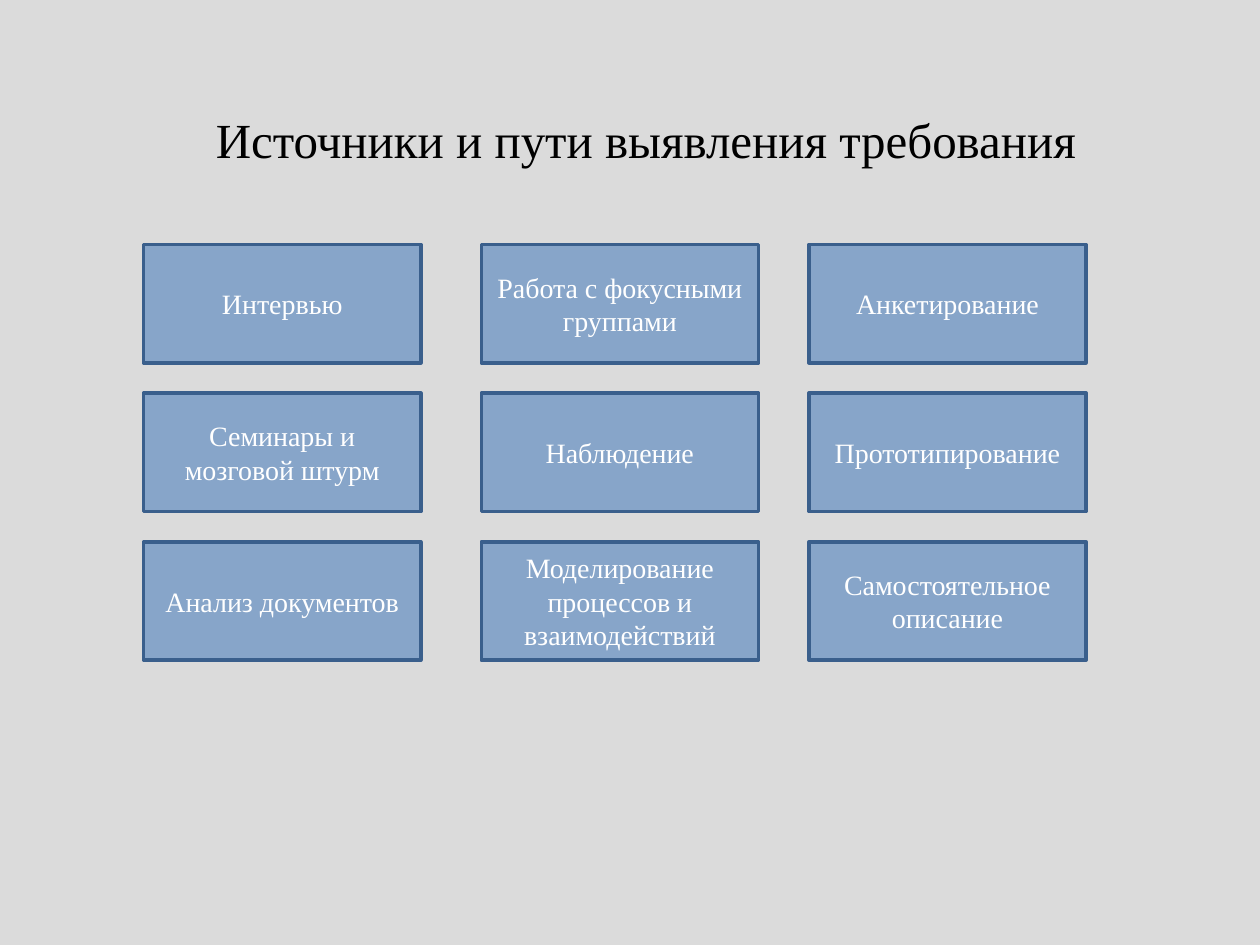
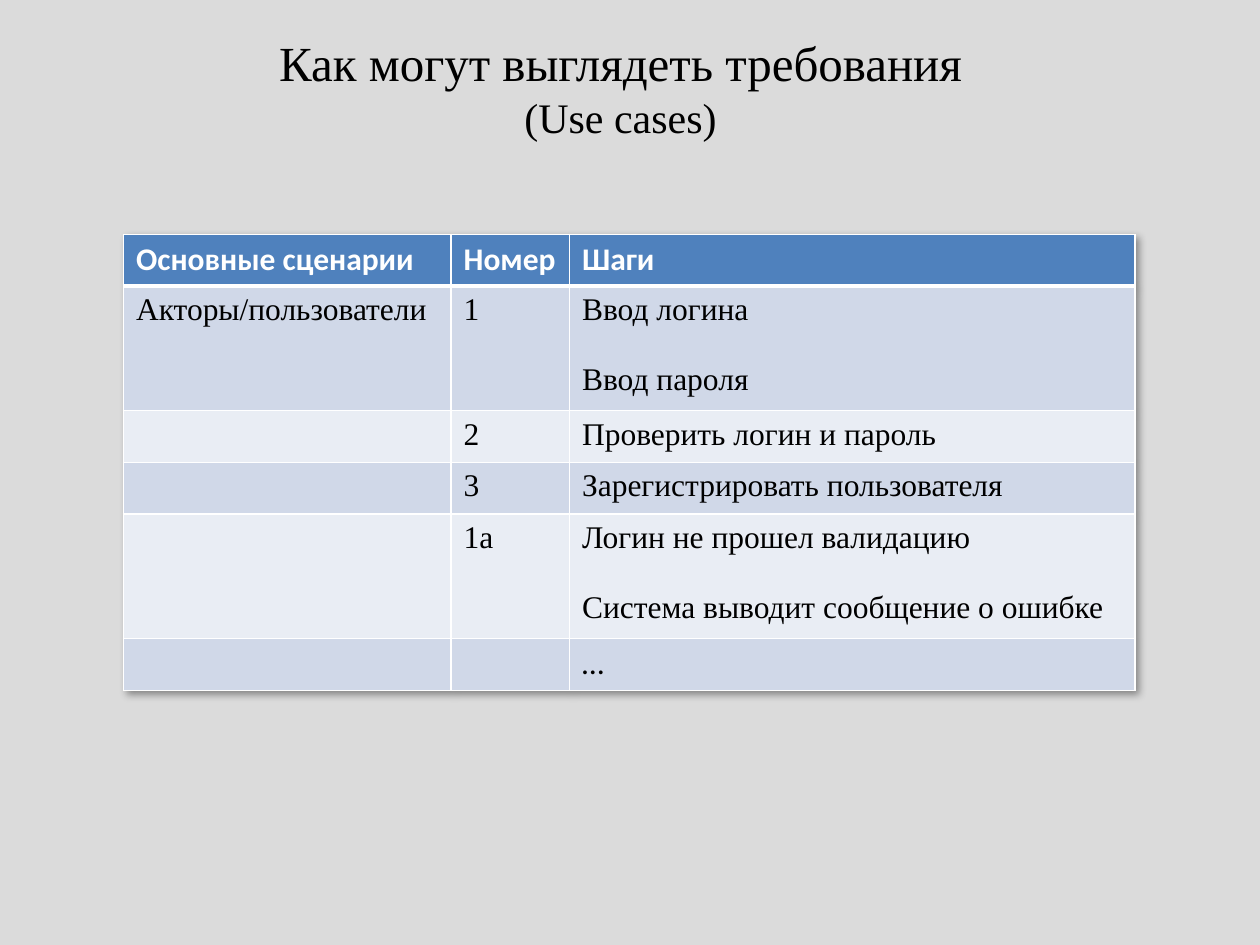
import lxml.etree
import pptx
import pptx.dml.color
import pptx.enum.shapes
import pptx.enum.text
import pptx.oxml
import pptx.oxml.ns
import pptx.util

SOURCES_TITLE = [("Источники и пути выявления требования", 28)]
SOURCES = [
    ["Интервью", "Работа с фокусными группами", "Анкетирование"],
    ["Семинары и мозговой штурм", "Наблюдение", "Прототипирование"],
    ["Анализ документов", "Моделирование процессов и взаимодействий",
     "Самостоятельное описание"],
]
USE_CASE_TITLE = [("Как могут выглядеть требования", 28), ("(Use cases)", 24)]
USE_CASES = [
    [["Основные сценарии"], ["Номер"], ["Шаги"]],
    [["Акторы/пользователи"], ["1"], ["Ввод логина", "Ввод пароля"]],
    [[], ["2"], ["Проверить логин и пароль"]],
    [[], ["3"], ["Зарегистрировать пользователя"]],
    [[], ["1a"], ["Логин не прошел валидацию", "Система выводит сообщение о ошибке"]],
    [[], [], ["…"]],
]

COLORS = {
    "background": "DBDBDB", "text": "000000", "white": "FFFFFF",
    "accent": "4F81BD", "outline": "3A5F8C", "odd": "D0D8E8", "even": "E9EDF4",
}
SERIF = "Times New Roman"
SANS = "Calibri"
SLIDE_SIZE = (10, 7.5)
TITLE_WIDTH = 9.45
BOX_LEFTS = (1.14, 3.82, 6.42)
BOX_TOP, BOX_STEP = 1.94, 1.18
BOX_WIDTH, BOX_HEIGHT = 2.2, 0.94
TABLE_LEFT, TABLE_TOP = 0.98, 1.86
COLUMN_WIDTHS = (2.6, 0.94, 4.49)
SINGLE_ROW, DOUBLE_ROW = 0.41, 0.99
CENTER = pptx.enum.text.PP_ALIGN.CENTER
LEFT = pptx.enum.text.PP_ALIGN.LEFT


def inches(*lengths):
    return [pptx.util.Inches(length) for length in lengths]


def color(name):
    return pptx.dml.color.RGBColor.from_string(COLORS[name])


def fill_solid(fill, name):
    fill.solid()
    fill.fore_color.rgb = color(name)


def write_text(frame, text, size=18, font=SERIF, ink="text", bold=False,
               align=LEFT, space_before=0):
    paragraph = frame.paragraphs[0]
    if paragraph.runs:
        paragraph = frame.add_paragraph()
    paragraph.alignment = align
    paragraph.space_before = pptx.util.Pt(space_before)
    run = paragraph.add_run()
    run.text = text
    run.font.size = pptx.util.Pt(size)
    run.font.name = font
    run.font.bold = bold
    run.font.color.rgb = color(ink)


def add_slide(presentation, title, left, top, height):
    slide = presentation.slides.add_slide(presentation.slide_layouts[6])
    fill_solid(slide.background.fill, "background")
    frame = slide.shapes.add_textbox(*inches(left, top, TITLE_WIDTH, height)).text_frame
    frame.word_wrap = True
    frame.auto_size = pptx.enum.text.MSO_AUTO_SIZE.SHAPE_TO_FIT_TEXT
    for text, size in title:
        write_text(frame, text, size=size, align=CENTER)
    return slide


def add_source_box(slide, text, left, top):
    box = slide.shapes.add_shape(
        pptx.enum.shapes.MSO_SHAPE.RECTANGLE, *inches(left, top, BOX_WIDTH, BOX_HEIGHT))
    box.shadow.inherit = False
    fill_solid(box.fill, "accent")
    tint = box._element.spPr.find(".//" + pptx.oxml.ns.qn("a:srgbClr"))
    lxml.etree.SubElement(tint, pptx.oxml.ns.qn("a:alpha"), val="60000")
    box.line.color.rgb = color("outline")
    box.line.width = pptx.util.Pt(2)
    box.text_frame.word_wrap = True
    box.text_frame.vertical_anchor = pptx.enum.text.MSO_ANCHOR.MIDDLE
    write_text(box.text_frame, text, size=16, ink="white", align=CENTER)


def add_borders(cell, row):
    widths = {"L": 1, "R": 1, "T": 3 if row == 1 else 1, "B": 3 if row == 0 else 1}
    properties = cell._tc.get_or_add_tcPr()
    for side, width in widths.items():
        properties.append(pptx.oxml.parse_xml(
            f'<a:ln{side} {pptx.oxml.ns.nsdecls("a")} w="{pptx.util.Pt(width)}">'
            f'<a:solidFill><a:srgbClr val="{COLORS["white"]}"/></a:solidFill>'
            f'</a:ln{side}>'))


def add_table_shadow(table):
    table._tbl.tblPr.insert(0, pptx.oxml.parse_xml(
        f'<a:effectLst {pptx.oxml.ns.nsdecls("a")}>'
        '<a:outerShdw blurRad="50800" dist="38100" dir="2700000" algn="tl">'
        f'<a:srgbClr val="{COLORS["text"]}"><a:alpha val="40000"/></a:srgbClr>'
        '</a:outerShdw></a:effectLst>'))


def add_use_case_table(slide):
    heights = [DOUBLE_ROW if len(steps) > 1 else SINGLE_ROW for *_, steps in USE_CASES]
    table = slide.shapes.add_table(
        len(USE_CASES), len(COLUMN_WIDTHS),
        *inches(TABLE_LEFT, TABLE_TOP, sum(COLUMN_WIDTHS), sum(heights))).table
    table.first_row = table.horz_banding = False
    add_table_shadow(table)
    for column, width in zip(table.columns, COLUMN_WIDTHS):
        column.width = pptx.util.Inches(width)
    for row, (cells, height) in enumerate(zip(USE_CASES, heights)):
        table.rows[row].height = pptx.util.Inches(height)
        header = row == 0
        band = "accent" if header else ("even", "odd")[row % 2]
        for column, lines in enumerate(cells):
            cell = table.cell(row, column)
            add_borders(cell, row)
            fill_solid(cell.fill, band)
            for index, line in enumerate(lines):
                write_text(cell.text_frame, line,
                           font=SANS if header or line == "…" else SERIF,
                           ink="white" if header else "text", bold=header,
                           space_before=20 * index)


def main():
    presentation = pptx.Presentation()
    presentation.slide_width, presentation.slide_height = inches(*SLIDE_SIZE)

    sources_slide = add_slide(presentation, SOURCES_TITLE, 0.4, 0.82, 0.57)
    for row, names in enumerate(SOURCES):
        for left, name in zip(BOX_LEFTS, names):
            add_source_box(sources_slide, name, left, BOX_TOP + row * BOX_STEP)

    use_case_slide = add_slide(presentation, USE_CASE_TITLE, 0.2, 0.21, 0.98)
    add_use_case_table(use_case_slide)

    presentation.save("out.pptx")


if __name__ == "__main__":
    main()
